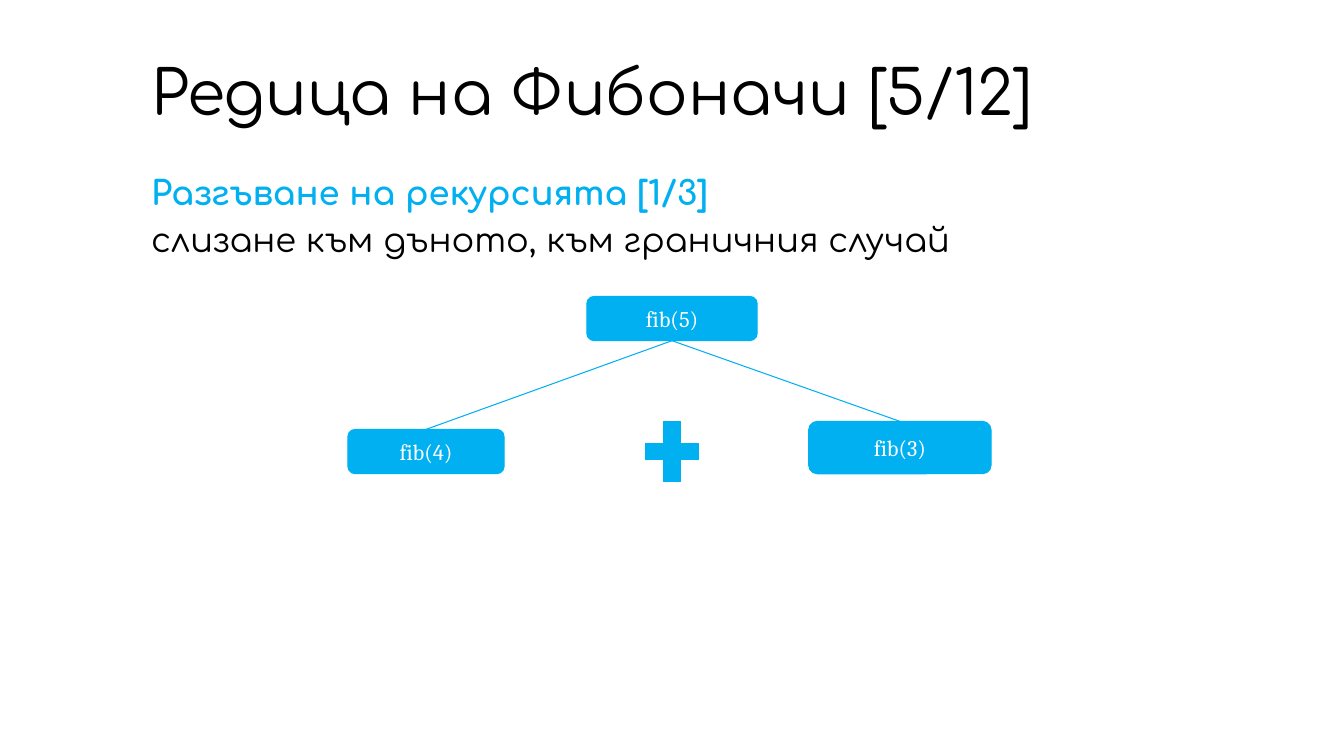
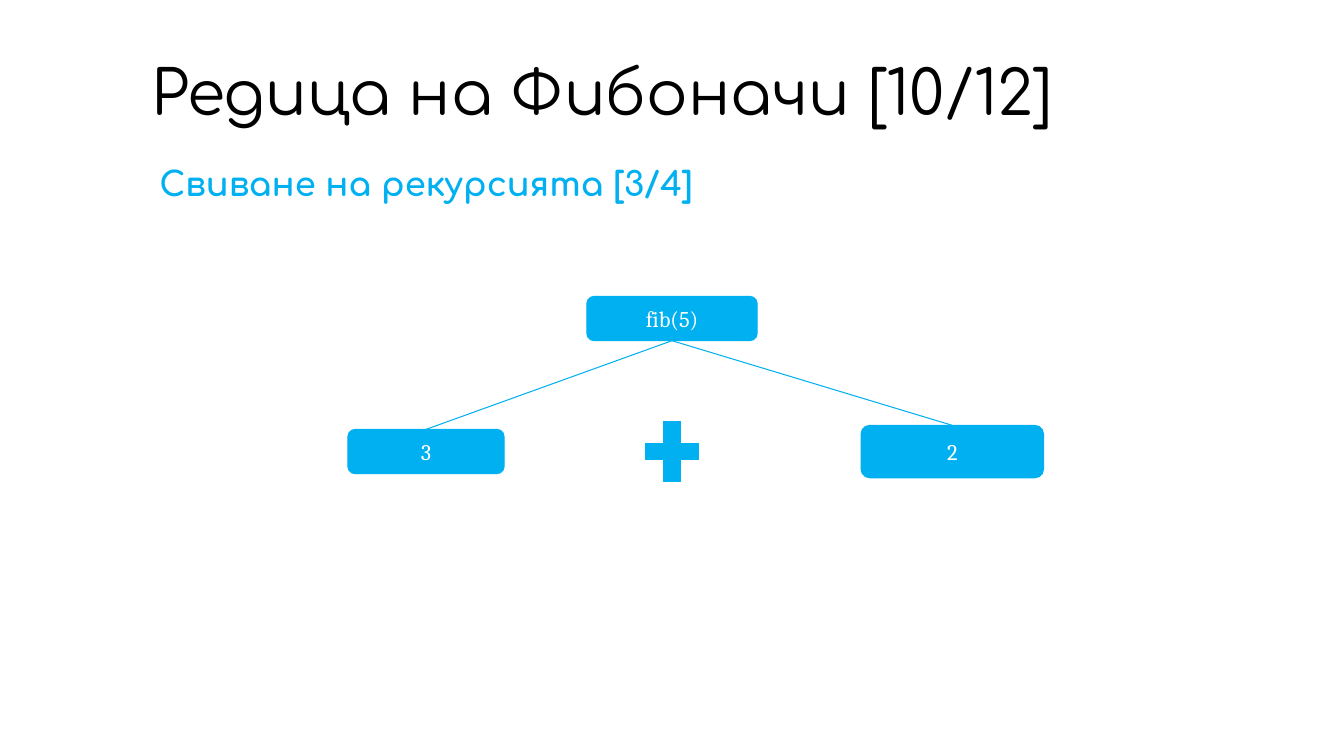
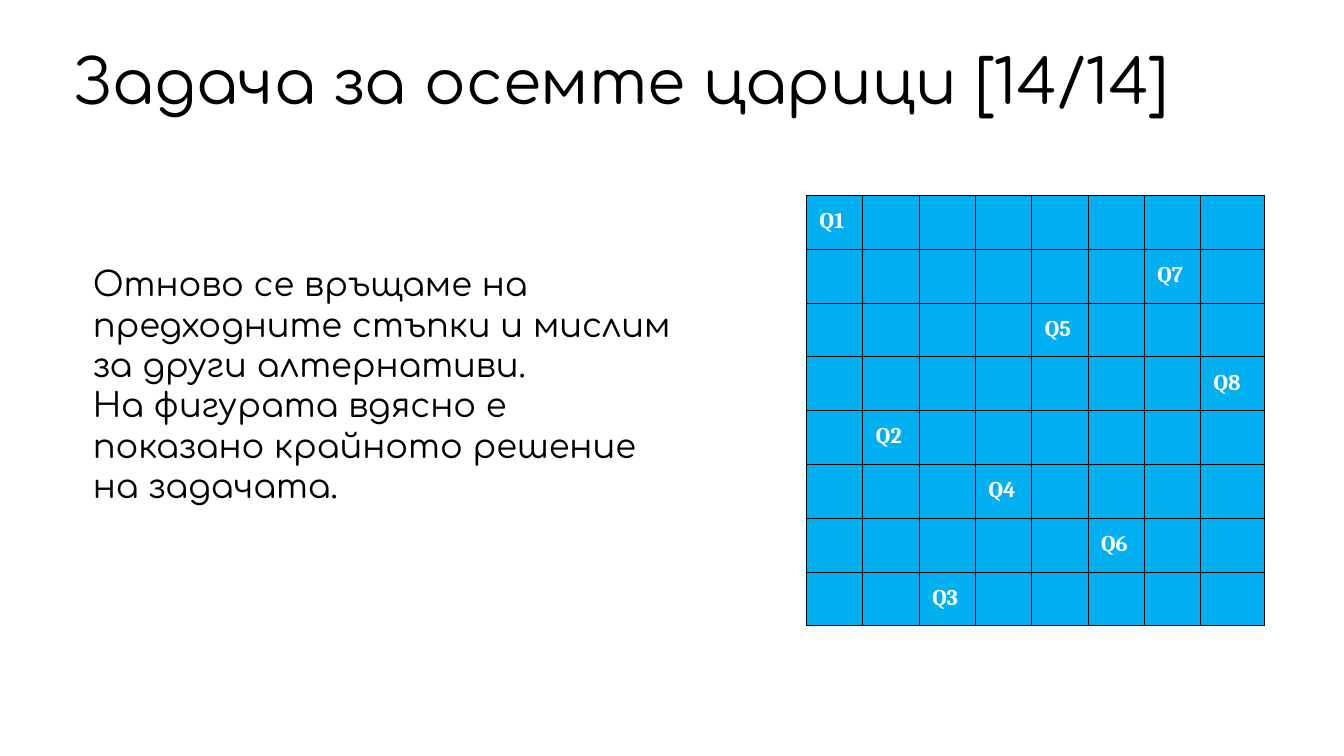
from dataclasses import dataclass

from lxml import etree
from pptx import Presentation
from pptx import util as u
from pptx.dml import color
from pptx.enum import shapes, text
from pptx.oxml import ns


@dataclass(frozen=True)
class Theme:
    accent: str = "00B0F0"
    ink: str = "000000"
    paper: str = "FFFFFF"
    display: str = "Comfortaa"
    serif: str = "Cambria"
    title_size: int = 44
    body_size: int = 24
    label_size: int = 16
    line_width: float = 0.75


THEME = Theme()
ALIGN = text.PP_ALIGN


def rgb(value):
    return color.RGBColor.from_string(value)


def lengths(box):
    return [u.Inches(value) for value in box]


def set_margins(target, horizontal, vertical):
    target.margin_left = target.margin_right = u.Inches(horizontal)
    target.margin_top = target.margin_bottom = u.Inches(vertical)


def write(paragraph, content, *, size=THEME.body_size, font=THEME.display, ink=THEME.ink,
          bold=False, align=ALIGN.LEFT, spacing=1.0):
    paragraph.alignment = align
    paragraph.line_spacing = spacing
    paragraph.space_before = paragraph.space_after = u.Pt(0)
    run = paragraph.add_run()
    run.text = content
    run.font.size = u.Pt(size)
    run.font.name = font
    run.font.bold = bold
    run.font.color.rgb = rgb(ink)


class Deck:
    """Build slides in one shared style, one method per kind of element."""

    def __init__(self, theme):
        self.theme = theme
        self.presentation = Presentation()
        self.presentation.slide_width = u.Inches(13.33)
        self.presentation.slide_height = u.Inches(7.5)
        self.slide = None

    def add_slide(self, title, box=(1.38, 0.53, 10.49, 0.84)):
        self.slide = self.presentation.slides.add_slide(self.presentation.slide_layouts[1])
        frame = self.place(self.slide.shapes.title, box, text.MSO_ANCHOR.MIDDLE)
        write(frame.paragraphs[0], title, size=self.theme.title_size, spacing=0.9)

    def place(self, placeholder, box, anchor):
        placeholder.left, placeholder.top, placeholder.width, placeholder.height = lengths(box)
        frame = placeholder.text_frame
        frame.word_wrap = True
        frame.auto_size = text.MSO_AUTO_SIZE.NONE
        frame.vertical_anchor = anchor
        set_margins(frame, 0.12, 0.04)
        return frame

    def body(self, box, *lines, **style):
        frame = self.place(self.slide.placeholders[1], box, text.MSO_ANCHOR.TOP)
        for index, (content, overrides) in enumerate(lines):
            paragraph = frame.add_paragraph() if index else frame.paragraphs[0]
            properties = paragraph._p.get_or_add_pPr()
            properties.set("marL", "0")
            properties.set("indent", "0")
            etree.SubElement(properties, ns.qn("a:buNone"))
            write(paragraph, content, **{**style, **overrides})

    def shape(self, kind, box):
        shape = self.slide.shapes.add_shape(kind, *lengths(box))
        shape.shadow.inherit = False
        shape.fill.solid()
        shape.fill.fore_color.rgb = rgb(self.theme.accent)
        self.outline(shape.line)
        return shape

    def outline(self, line):
        line.color.rgb = rgb(self.theme.accent)
        line.width = u.Pt(self.theme.line_width)

    def node(self, label, box):
        shape = self.shape(shapes.MSO_SHAPE.ROUNDED_RECTANGLE, box)
        frame = shape.text_frame
        frame.vertical_anchor = text.MSO_ANCHOR.MIDDLE
        set_margins(frame, 0.13, 0.13)
        write(frame.paragraphs[0], label, size=self.theme.label_size, font=self.theme.serif,
              ink=self.theme.paper, align=ALIGN.CENTER)
        return shape

    def branch(self, parent, child):
        connector = self.slide.shapes.add_connector(shapes.MSO_CONNECTOR.STRAIGHT, 0, 0, 0, 0)
        connector.begin_connect(parent, 2)
        connector.end_connect(child, 0)
        self.outline(connector.line)
        etree.SubElement(connector._element.spPr, ns.qn("a:effectLst"))

    def recursion_tree(self, left_label, right_label, right_box):
        root = self.node("fib(5)", (5.82, 2.94, 1.69, 0.44))
        left = self.node(left_label, (3.45, 4.26, 1.55, 0.44))
        right = self.node(right_label, right_box)
        for child in (left, right):
            self.branch(root, child)
        self.shape(shapes.MSO_SHAPE.MATH_PLUS, (6.31, 4.08, 0.71, 0.8))

    def board(self, box, queens, last_width):
        size = len(queens)
        table = self.slide.shapes.add_table(size, size, *lengths(box)).table
        table.first_row = table.horz_banding = False
        for column in table.columns:
            column.width = u.Inches((box[2] - last_width) / (size - 1))
        table.columns[size - 1].width = u.Inches(last_width)
        for row in table.rows:
            row.height = u.Inches(box[3] / size)
        for cell in table.iter_cells():
            self.square(cell)
        for number, (row, column) in enumerate(queens, start=1):
            cell = table.cell(row, column)
            set_margins(cell, 0.13, 0.13)
            write(cell.text_frame.paragraphs[0], f"Q{number}", size=self.theme.label_size,
                  font=self.theme.serif, ink=self.theme.paper, bold=True)

    def square(self, cell):
        properties = cell._tc.get_or_add_tcPr()
        for side in ("lnL", "lnR", "lnT", "lnB"):
            border = etree.SubElement(properties, ns.qn(f"a:{side}"),
                                      w=str(u.Pt(self.theme.line_width)))
            fill = etree.SubElement(border, ns.qn("a:solidFill"))
            etree.SubElement(fill, ns.qn("a:srgbClr"), val=self.theme.ink)
        cell.fill.solid()
        cell.fill.fore_color.rgb = rgb(self.theme.accent)


def main():
    deck = Deck(THEME)
    heading = {"ink": THEME.accent, "bold": True}
    justified = {"align": ALIGN.JUSTIFY, "spacing": 1.15}

    deck.add_slide("Редица на Фибоначи [5/12]")
    deck.body((1.38, 1.61, 10.38, 3.8),
              ("Разгъване на рекурсията [1/3]", heading),
              ("слизане към дъното, към граничния случай", {}), **justified)
    deck.recursion_tree("fib(4)", "fib(3)", (8.02, 4.18, 1.81, 0.52))

    deck.add_slide("Редица на Фибоначи [10/12]")
    deck.body((1.46, 1.52, 8.46, 1.08), ("Свиване на рекурсията [3/4]", heading), **justified)
    deck.recursion_tree("3", "2", (8.54, 4.22, 1.81, 0.52))

    deck.add_slide("Задача за осемте царици [14/14]", (0.61, 0.42, 12.12, 0.84))
    deck.body((0.8, 2.57, 6.13, 3.38),
              ("Отново се връщаме на предходните стъпки и мислим за други алтернативи.", {}),
              ("На фигурата вдясно е показано крайното решение на задачата.", {}))
    queens = [(0, 0), (4, 1), (7, 2), (5, 3), (2, 4), (6, 5), (1, 6), (3, 7)]
    deck.board((8, 1.94, 4.54, 4.27), queens, last_width=0.63)

    deck.presentation.save("out.pptx")


if __name__ == "__main__":
    main()
